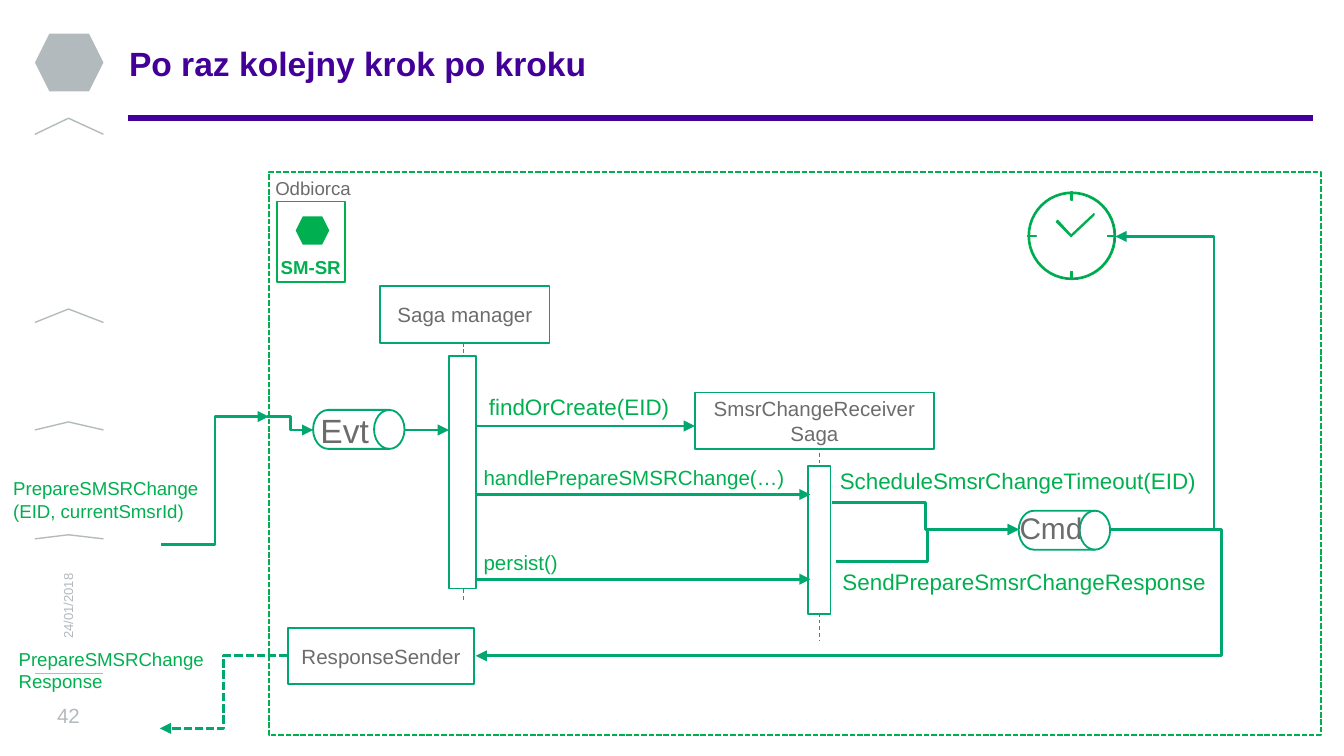
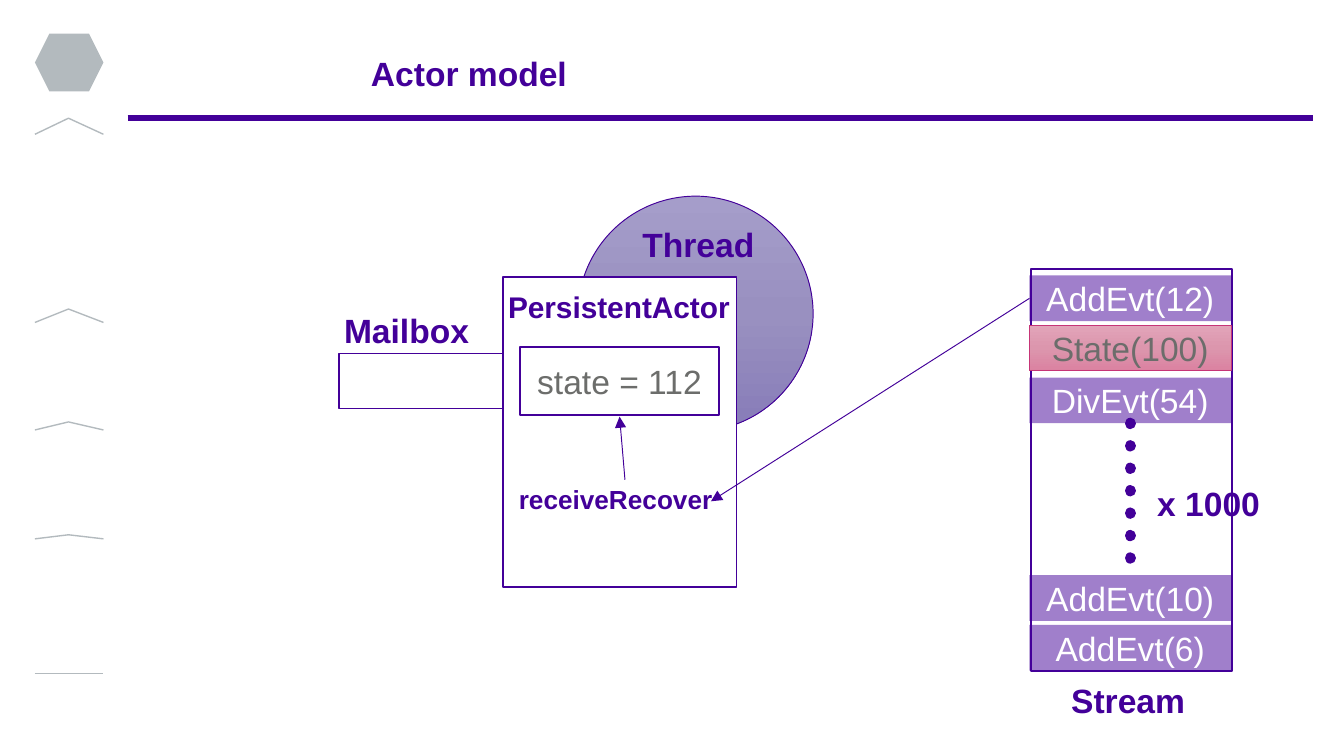
"""Build two slides: a saga walkthrough and a persistent actor model."""
import copy
from dataclasses import dataclass
from typing import Optional

import pptx
import pptx.util
from pptx.dml.color import RGBColor
from pptx.enum.dml import MSO_LINE
from pptx.enum.shapes import MSO_CONNECTOR, MSO_SHAPE
from pptx.enum.text import MSO_ANCHOR, MSO_AUTO_SIZE, PP_ALIGN
from pptx.oxml.ns import qn
from pptx.oxml.xmlchemy import OxmlElement

PX = 9144
PAGE_WIDTH = 1000 * PX
PAGE_HEIGHT = PAGE_WIDTH * 9 // 16
FONT = "Arial"
WHITE = RGBColor(0xFF, 0xFF, 0xFF)
VIOLET = RGBColor(0x43, 0x00, 0x99)
GREEN = RGBColor(0x00, 0xB0, 0x50)
TEAL = RGBColor(0x00, 0xA8, 0x70)
SILVER = RGBColor(0xB3, 0xBA, 0xBE)
GRAY = RGBColor(0x6C, 0x6D, 0x6B)
PINK = RGBColor(0xC6, 0x35, 0x77)
THREAD_SHADES = (RGBColor(0xA5, 0x9D, 0xCA), RGBColor(0x99, 0x90, 0xC0), RGBColor(0x87, 0x7C, 0xB8))
STATE_SHADES = (RGBColor(0xE2, 0xA4, 0xB9), RGBColor(0xDC, 0x96, 0xAD), RGBColor(0xDB, 0x82, 0xA1))
TIGHT = (4, 0, 4, 0)
ROOMY = (10, 5, 10, 5)


@dataclass(frozen=True)
class Area:
    left: int
    top: int
    width: int
    height: int

    def emu(self) -> tuple:
        return tuple(n * PX for n in (self.left, self.top, self.width, self.height))


@dataclass(frozen=True)
class Node:
    area: Area
    text: str = ""
    size: int = 11
    color: RGBColor = GRAY
    fill: Optional[RGBColor] = WHITE
    line: Optional[RGBColor] = TEAL
    weight: float = 1
    kind: MSO_SHAPE = MSO_SHAPE.RECTANGLE
    dash: Optional[MSO_LINE] = None
    shades: tuple = ()
    opacity: int = 100


@dataclass(frozen=True)
class Label:
    area: Area
    text: str
    size: int
    color: RGBColor = GREEN
    bold: bool = False
    align: PP_ALIGN = PP_ALIGN.LEFT
    anchor: MSO_ANCHOR = MSO_ANCHOR.TOP
    insets: tuple = ROOMY
    spacing: float = 1.0
    wrap: bool = True
    rotation: int = 0


@dataclass(frozen=True)
class Wire:
    start: tuple
    end: tuple
    color: RGBColor = TEAL
    weight: float = 1.5
    elbow: bool = True
    arrow: bool = True
    bend: Optional[int] = None
    dash: Optional[MSO_LINE] = None
    round_cap: bool = False


def write_text(frame, text: str, *, size: int, color: RGBColor, bold: bool = False,
               align: PP_ALIGN = PP_ALIGN.LEFT, anchor: MSO_ANCHOR = MSO_ANCHOR.MIDDLE,
               insets: tuple = ROOMY, spacing: float = 1.0, wrap: bool = True) -> None:
    frame.auto_size = MSO_AUTO_SIZE.NONE
    frame.word_wrap = wrap
    frame.vertical_anchor = anchor
    frame.margin_left, frame.margin_top, frame.margin_right, frame.margin_bottom = (
        n * PX for n in insets)
    for index, line in enumerate(text.split("\n")):
        para = frame.paragraphs[0] if index == 0 else frame.add_paragraph()
        para.alignment = align
        para.line_spacing = spacing
        span = para.add_run()
        span.text = line
        span.font.name = FONT
        span.font.size = pptx.util.Pt(size)
        span.font.bold = bold
        span.font.color.rgb = color


def paint_shades(shape, shades: tuple) -> None:
    shape.fill.gradient()
    shape.fill.gradient_angle = 270
    stop_list = shape.element.spPr.find(qn("a:gradFill")).find(qn("a:gsLst"))
    stop_list.insert(1, copy.deepcopy(stop_list[0]))
    for stop, shade, position in zip(shape.fill.gradient_stops, shades, (0, 0.5, 1)):
        stop.color.rgb = shade
        stop.position = position


def style_shape(shape, fill: Optional[RGBColor], line: Optional[RGBColor], weight: float) -> None:
    shape.shadow.inherit = False
    if fill is None:
        shape.fill.background()
    else:
        shape.fill.solid()
        shape.fill.fore_color.rgb = fill
    if line is None:
        shape.line.fill.background()
    else:
        shape.line.color.rgb = line
        shape.line.width = pptx.util.Pt(weight)


def draw_node(page, node: Node):
    shape = page.shapes.add_shape(node.kind, *node.area.emu())
    style_shape(shape, node.fill, node.line, node.weight)
    if node.shades:
        paint_shades(shape, node.shades)
    if node.dash:
        shape.line.dash_style = node.dash
    if node.opacity < 100:
        alpha = OxmlElement("a:alpha")
        alpha.set("val", str(node.opacity * 1000))
        shape.element.spPr.find(qn("a:solidFill"))[0].append(alpha)
    if node.text:
        write_text(shape.text_frame, node.text, size=node.size, color=node.color,
                   align=PP_ALIGN.CENTER)
    return shape


def draw_label(page, label: Label) -> None:
    box = page.shapes.add_textbox(*label.area.emu())
    box.rotation = label.rotation
    write_text(box.text_frame, label.text, size=label.size, color=label.color,
               bold=label.bold, align=label.align, anchor=label.anchor,
               insets=label.insets, spacing=label.spacing, wrap=label.wrap)


def draw_wire(page, wire: Wire) -> None:
    kind = MSO_CONNECTOR.ELBOW if wire.elbow else MSO_CONNECTOR.STRAIGHT
    connector = page.shapes.add_connector(kind, *(n * PX for n in wire.start + wire.end))
    connector.line.color.rgb = wire.color
    connector.line.width = pptx.util.Pt(wire.weight)
    if wire.dash:
        connector.line.dash_style = wire.dash
    properties = connector.element.spPr
    outline = properties.find(qn("a:ln"))
    if wire.round_cap:
        outline.set("cap", "rnd")
    if wire.arrow:
        tail = OxmlElement("a:tailEnd")
        tail.set("type", "triangle")
        outline.append(tail)
    if wire.bend is not None:
        share = (wire.bend - wire.start[0]) / (wire.end[0] - wire.start[0])
        guide = OxmlElement("a:gd")
        guide.set("name", "adj1")
        guide.set("fmla", f"val {round(share * 100000)}")
        properties.find(qn("a:prstGeom")).get_or_add_avLst().append(guide)
    properties.append(OxmlElement("a:effectLst"))


def draw_outline(page, strokes: list, *, fill: Optional[RGBColor], line: RGBColor,
                 close: bool) -> None:
    builder = page.shapes.build_freeform(*strokes[0][0], scale=PX)
    for index, stroke in enumerate(strokes):
        if index:
            builder.move_to(*stroke[0])
        builder.add_line_segments(stroke[1:], close=close)
    style_shape(builder.convert_to_shape(), fill, line, 0.75)


def draw_emblem(page, area: Area, color: RGBColor) -> None:
    draw_node(page, Node(area, fill=color, line=None, kind=MSO_SHAPE.HEXAGON))


def start_page(deck, title: str, area: Area):
    page = deck.slides.add_slide(deck.slide_layouts[5])
    draw_emblem(page, Area(26, 25, 51, 43), SILVER)
    chevrons = [(100, 88), (240, 230), (320, 314), (401, 398), (501, 501)]
    draw_outline(page, [[(26, base), (51, peak), (77, base)] for base, peak in chevrons],
                 fill=None, line=SILVER, close=False)
    draw_wire(page, Wire((95, 88), (977, 88), VIOLET, 3, elbow=False, arrow=False))
    heading = page.shapes.title
    heading.left, heading.top, heading.width, heading.height = area.emu()
    write_text(heading.text_frame, title, size=18, color=VIOLET, bold=True,
               insets=TIGHT, spacing=0.9)
    return page


def draw_clock(page) -> None:
    face = draw_node(page, Node(Area(765, 143, 65, 65), fill=VIOLET, line=GREEN,
                                weight=0.75, kind=MSO_SHAPE.DONUT))
    face.adjustments[0] = 0.015
    hands = [(797, 176), (786, 165), (787, 164), (797, 175), (814, 159), (814, 160)]
    draw_outline(page, [hands], fill=VIOLET, line=GREEN, close=True)
    for tick in (Area(797, 143, 1, 6), Area(797, 202, 1, 6),
                 Area(765, 175, 6, 1), Area(824, 175, 6, 1)):
        draw_node(page, Node(tick, fill=VIOLET, line=GREEN, weight=0.75))


def build_saga(deck) -> None:
    page = start_page(deck, "Po raz kolejny krok po kroku", Area(92, 25, 884, 47))
    draw_node(page, Node(Area(200, 128, 783, 419), line=GREEN, dash=MSO_LINE.SQUARE_DOT))
    for x, top, bottom in ((345, 255, 448), (610, 337, 477)):
        draw_wire(page, Wire((x, top), (x, bottom), GREEN, 0.5, elbow=False,
                             arrow=False, dash=MSO_LINE.DASH))
    drum = MSO_SHAPE.FLOWCHART_DIRECT_ACCESS_STORAGE
    for node in (
        Node(Area(206, 150, 51, 60), line=GREEN),
        Node(Area(283, 213, 126, 42), "Saga manager"),
        Node(Area(334, 265, 20, 173)),
        Node(Area(517, 292, 178, 42), "SmsrChangeReceiverSaga"),
        Node(Area(601, 347, 17, 110)),
        Node(Area(233, 305, 68, 29), kind=drum),
        Node(Area(758, 380, 68, 29), kind=drum),
        Node(Area(214, 467, 139, 42), "ResponseSender"),
    ):
        draw_node(page, node)
    draw_emblem(page, Area(220, 161, 25, 21), GREEN)
    draw_clock(page)
    for wire in (
        Wire((120, 405), (200, 310)),
        Wire((214, 488), (119, 542), dash=MSO_LINE.SQUARE_DOT),
        Wire((199, 310), (233, 320)),
        Wire((301, 320), (334, 320)),
        Wire((354, 317), (517, 317)),
        Wire((354, 368), (603, 368)),
        Wire((354, 431), (603, 431)),
        Wire((619, 374), (758, 394)),
        Wire((622, 418), (758, 394)),
        Wire((826, 394), (830, 176), bend=903),
        Wire((826, 394), (354, 488), bend=909),
    ):
        draw_wire(page, wire)
    middle = {"align": PP_ALIGN.CENTER, "anchor": MSO_ANCHOR.MIDDLE, "insets": TIGHT}
    centred = {"align": PP_ALIGN.CENTER, "wrap": False}
    for label in (
        Label(Area(1, 436, 99, 30), "24/01/2018", 7, SILVER, rotation=270, **middle),
        Label(Area(26, 523, 50, 19), "42", 11, SILVER, **middle),
        Label(Area(199, 187, 102, 28), "SM-SR", 10, bold=True, spacing=0.9),
        Label(Area(195, 127, 77, 27), "Odbiorca", 10, GRAY, wrap=False),
        Label(Area(0, 350, 160, 44), "PrepareSMSRChange\n(EID, currentSmsrId)", 10),
        Label(Area(4, 477, 165, 44), "PrepareSMSRChangeResponse", 10),
        Label(Area(354, 288, 180, 30), "findOrCreate(EID)", 12),
        Label(Area(350, 341, 244, 29), "handlePrepareSMSRChange(…)", 11),
        Label(Area(350, 404, 174, 29), "persist()", 11),
        Label(Area(615, 343, 298, 30), "ScheduleSmsrChangeTimeout(EID)", 12),
        Label(Area(617, 418, 295, 30), "SendPrepareSmsrChangeResponse", 12),
        Label(Area(228, 300, 57, 40), "Evt", 18, GRAY, **centred),
        Label(Area(748, 374, 68, 37), "Cmd", 16, GRAY, **centred),
    ):
        draw_label(page, label)


def build_actor(deck) -> None:
    page = start_page(deck, "Actor model", Area(272, 33, 800, 47))
    for node in (
        Node(Area(430, 146, 175, 175), line=VIOLET, weight=0.5, kind=MSO_SHAPE.OVAL,
             shades=THREAD_SHADES),
        Node(Area(374, 206, 174, 231), line=VIOLET),
        Node(Area(252, 263, 122, 41), line=VIOLET),
        Node(Area(387, 258, 148, 51), "state = 112", 18, line=VIOLET),
        Node(Area(767, 200, 150, 299), line=VIOLET),
        Node(Area(766, 242, 150, 34), "State(100)", 18, line=PINK, weight=0.5,
             shades=STATE_SHADES),
    ):
        draw_node(page, node)
    for top, event in ((205, "AddEvt(12)"), (281, "DivEvt(54)"),
                       (428, "AddEvt(10)"), (465, "AddEvt(6)")):
        draw_node(page, Node(Area(766, top, 150, 34), event, 18, WHITE, VIOLET,
                             line=None, opacity=50))
    for start, end in (((766, 222), (529, 373)), ((465, 357), (461, 310))):
        draw_wire(page, Wire(start, end, VIOLET, 0.5, elbow=False))
    draw_wire(page, Wire((841, 315), (841, 428), VIOLET, 6, elbow=False, arrow=False,
                         dash=MSO_LINE.ROUND_DOT, round_cap=True))
    for left, top, width, text, size in (
        (374, 206, 174, "PersistentActor", 16),
        (252, 224, 174, "Mailbox", 18),
        (474, 160, 97, "Thread", 18),
        (382, 349, 166, "receiveRecover", 14),
        (793, 499, 97, "Stream", 18),
        (857, 353, 97, "x 1000", 18),
    ):
        draw_label(page, Label(Area(left, top, width, 47), text, size, VIOLET, bold=True,
                               anchor=MSO_ANCHOR.MIDDLE, insets=TIGHT, spacing=0.9))


def main() -> None:
    deck = pptx.Presentation()
    deck.slide_width, deck.slide_height = PAGE_WIDTH, PAGE_HEIGHT
    build_saga(deck)
    build_actor(deck)
    deck.save("out.pptx")


if __name__ == "__main__":
    main()
